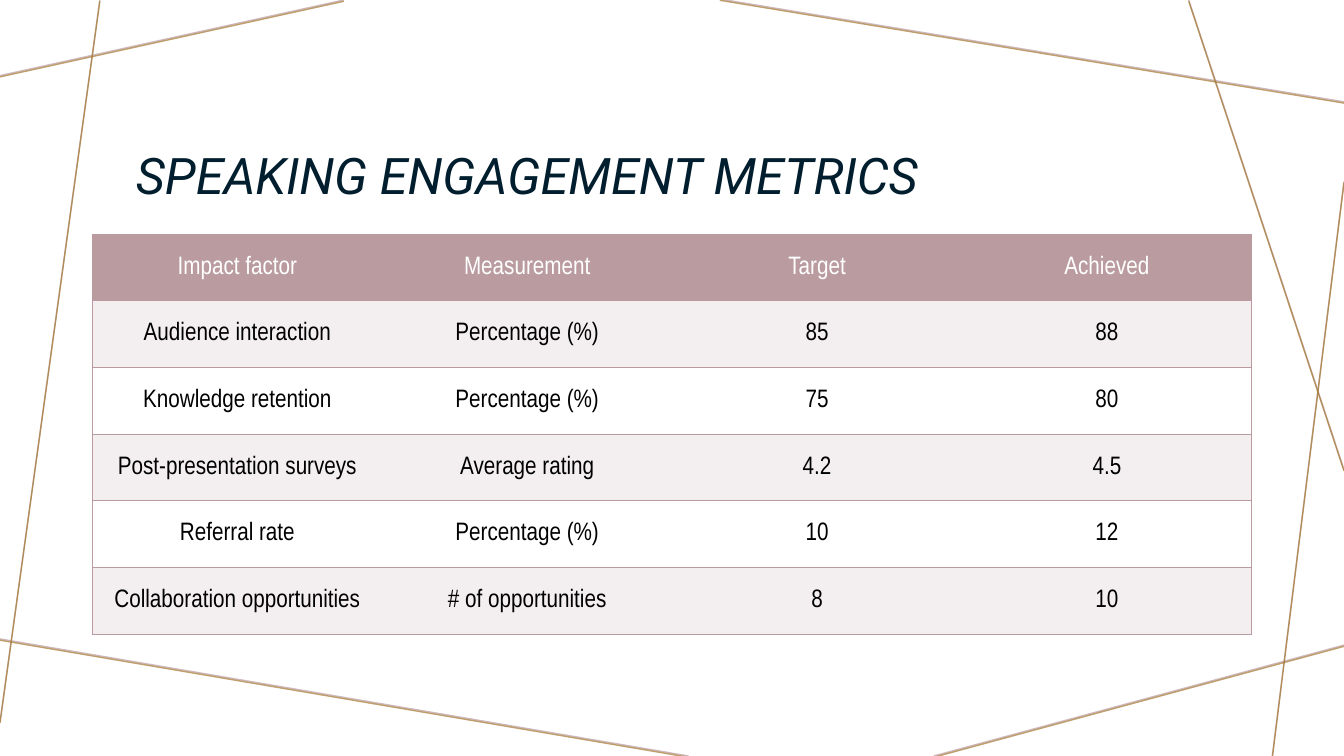
from lxml.etree import SubElement
from pptx import Presentation
from pptx.dml.color import RGBColor
from pptx.enum.shapes import MSO_CONNECTOR
from pptx.enum.text import MSO_ANCHOR, PP_ALIGN
from pptx.oxml.ns import qn
from pptx.util import Inches, Pt

MAUVE = RGBColor(0xBA, 0x9C, 0xA0)
GOLD = RGBColor(0xA5, 0x79, 0x31)
NAVY = RGBColor(0x00, 0x1E, 0x2E)
BLACK = RGBColor(0x00, 0x00, 0x00)
WHITE = RGBColor(0xFF, 0xFF, 0xFF)
BAND = RGBColor(0xF3, 0xEF, 0xF0)

SLIDE_WIDTH, SLIDE_HEIGHT = Inches(13.33), Inches(7.5)

# Positions are percentages of the slide's width and height.
TITLE_BOX = (9.38, 7.73, 81.24, 20.13)
TABLE_BOX = (6.88, 30.98, 86.27, 52.93)
GOLD_DROP = 0.17
FRAME_LINES = [
    (25.58, 0, 0, 10),
    (7.43, 0, 0, 95.47),
    (51.24, 100, -0.38, 84.4),
    (100, 85.33, 69.47, 100),
    (100, 24, 94.67, 100),
    (100, 62.13, 88.45, 0),
    (100, 13.47, 53.56, -0.13),
]

METRICS = [
    ("Impact factor", "Measurement", "Target", "Achieved"),
    ("Audience interaction", "Percentage (%)", "85", "88"),
    ("Knowledge retention", "Percentage (%)", "75", "80"),
    ("Post-presentation surveys", "Average rating", "4.2", "4.5"),
    ("Referral rate", "Percentage (%)", "10", "12"),
    ("Collaboration opportunities", "# of opportunities", "8", "10"),
]


def across(percent):
    return round(SLIDE_WIDTH * percent / 100)


def down(percent):
    return round(SLIDE_HEIGHT * percent / 100)


def to_lengths(box):
    """Turn two percentage pairs into lengths."""
    return across(box[0]), down(box[1]), across(box[2]), down(box[3])


def add_frame_lines(slide, color, drop):
    for x1, y1, x2, y2 in FRAME_LINES:
        ends = to_lengths((x1, y1 + drop, x2, y2 + drop))
        connector = slide.shapes.add_connector(MSO_CONNECTOR.STRAIGHT, *ends)
        connector.line.color.rgb = color
        connector.line.width = Pt(1)
        properties = connector._element.spPr
        for color_element in properties.iter(qn("a:srgbClr")):
            SubElement(color_element, qn("a:alpha"), val="70000")
        SubElement(properties, qn("a:effectLst"))


def add_title(slide, box, text):
    frame = slide.shapes.add_textbox(*to_lengths(box)).text_frame
    frame.word_wrap = True
    frame.vertical_anchor = MSO_ANCHOR.BOTTOM
    paragraph = frame.paragraphs[0]
    paragraph.text = text
    paragraph.line_spacing = 0.9
    paragraph.font.name = "Roboto"
    paragraph.font.size = Pt(36)
    paragraph.font.italic = True
    paragraph.font.color.rgb = NAVY


def set_borders(cell, visible_sides):
    """Draw the given sides in mauve and clear the others."""
    properties = cell._tc.get_or_add_tcPr()
    for side in "LRTB":
        line = SubElement(properties, qn(f"a:ln{side}"), w=str(Pt(1)))
        if side in visible_sides:
            fill = SubElement(line, qn("a:solidFill"))
            SubElement(fill, qn("a:srgbClr"), val=str(MAUVE))
        else:
            SubElement(line, qn("a:noFill"))


def style_cell(cell, text, fill_color, text_color):
    cell.fill.solid()
    cell.fill.fore_color.rgb = fill_color
    cell.vertical_anchor = MSO_ANCHOR.MIDDLE
    paragraph = cell.text_frame.paragraphs[0]
    paragraph.text = text
    paragraph.alignment = PP_ALIGN.CENTER
    paragraph.font.name = "Arial Narrow"
    paragraph.font.size = Pt(18)
    paragraph.font.bold = False
    paragraph.font.color.rgb = text_color


def add_metrics_table(slide, box, rows):
    last_column = len(rows[0]) - 1
    table = slide.shapes.add_table(
        len(rows), len(rows[0]), *to_lengths(box)).table
    for row_index, row in enumerate(rows):
        if row_index == 0:
            fill_color, text_color = MAUVE, WHITE
        else:
            fill_color = BAND if row_index % 2 else WHITE
            text_color = BLACK
        for column_index, text in enumerate(row):
            cell = table.cell(row_index, column_index)
            sides = "TB"
            if column_index == 0:
                sides += "L"
            elif column_index == last_column:
                sides += "R"
            set_borders(cell, sides)
            style_cell(cell, text, fill_color, text_color)


def main():
    presentation = Presentation()
    presentation.slide_width = SLIDE_WIDTH
    presentation.slide_height = SLIDE_HEIGHT
    slide = presentation.slides.add_slide(presentation.slide_layouts[6])
    add_frame_lines(slide, MAUVE, 0)
    add_frame_lines(slide, GOLD, GOLD_DROP)
    add_title(slide, TITLE_BOX, "SPEAKING ENGAGEMENT METRICS")
    add_metrics_table(slide, TABLE_BOX, METRICS)
    presentation.save("out.pptx")


if __name__ == "__main__":
    main()
